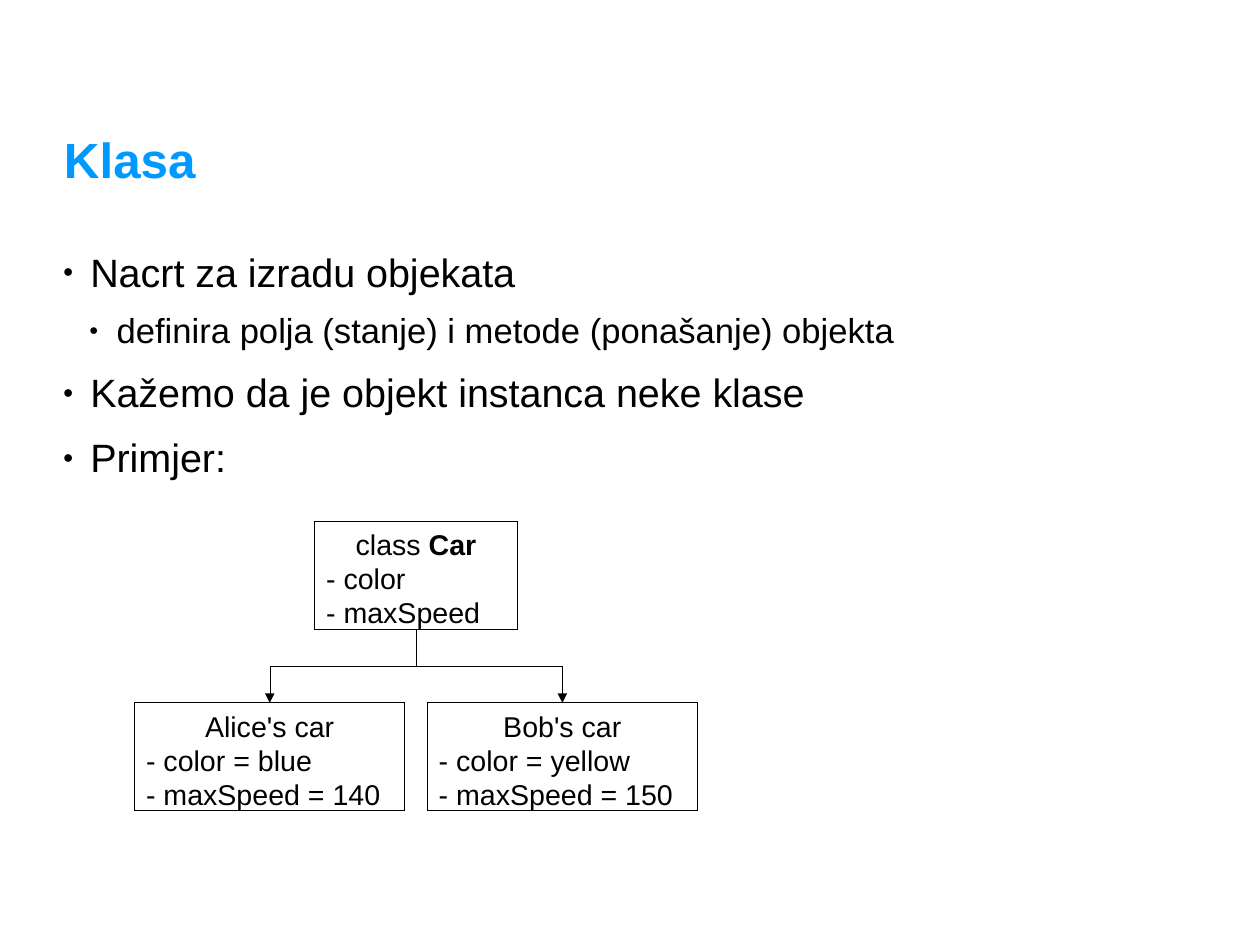
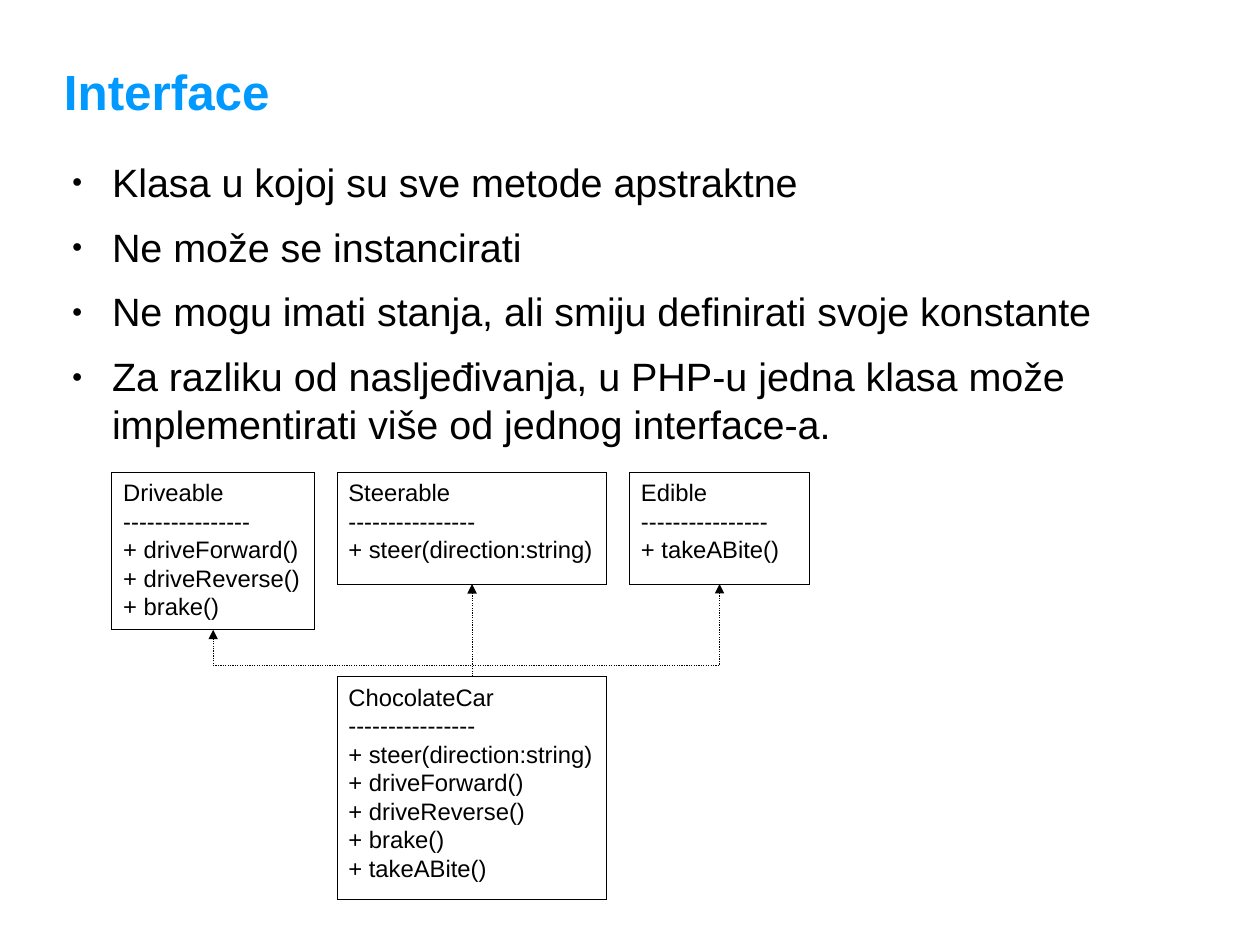
from pptx import Presentation
from pptx import util as u
from pptx.dml.color import RGBColor
from pptx.enum import dml, shapes, text
from pptx.oxml.ns import qn
from lxml import etree


def rgb(value):
    return RGBColor.from_string(value)


def add_xml(parent, tag, **attrs):
    return etree.SubElement(parent, qn(tag), attrs)


class Deck:
    """Shared style and the slide being filled."""
    FONT, INK, ACCENT = "Arial", "000000", "0099FF"
    TITLE_SIZE = 31.1
    LEVELS = ((24.9, 11), (21.8, 8.8))  # size, space before

    def __init__(self):
        # 28 by 21 centimetres
        self.prs = Presentation()
        self.prs.slide_width = u.Inches(28 / 2.54)
        self.prs.slide_height = u.Inches(21 / 2.54)
        self.s = None

    def run(self, p, words, size, color=INK, bold=False):
        r = p.add_run()
        r.text = words
        f = r.font
        f.name, f.size, f.bold = self.FONT, u.Pt(size), bold
        f.color.rgb = rgb(color)

    def frame(self, sp, x_inset=0, y_inset=0, anchor=text.MSO_ANCHOR.TOP):
        tf = sp.text_frame
        tf.word_wrap = True
        tf.auto_size = text.MSO_AUTO_SIZE.NONE
        tf.margin_left = tf.margin_right = u.Inches(x_inset)
        tf.margin_top = tf.margin_bottom = u.Inches(y_inset)
        tf.vertical_anchor = anchor
        return tf

    @staticmethod
    def paragraphs(tf, items):
        for i, item in enumerate(items):
            yield i, (tf.add_paragraph() if i else tf.paragraphs[0]), item

    def hairline(self, sp):
        """Thinnest line: the zero width has to be written out."""
        sp.line.color.rgb = rgb(self.INK)
        ln = sp._element.spPr.find(qn("a:ln"))
        ln.set("w", "0")
        return ln

    def slide(self, title, top):
        self.s = self.prs.slides.add_slide(self.prs.slide_layouts[5])
        sp = self.s.shapes.title
        sp.left, sp.top = u.Inches(0.56), u.Inches(top)
        sp.width, sp.height = u.Inches(7.9), u.Inches(0.77)
        p = self.frame(sp, anchor=text.MSO_ANCHOR.MIDDLE).paragraphs[0]
        p.alignment = text.PP_ALIGN.LEFT
        self.run(p, title, self.TITLE_SIZE, self.ACCENT, True)

    def bullets(self, x, y, w, h, items, indents, hang):
        """Items are (level, words); indents holds the left margin per level."""
        sp = self.s.shapes.add_textbox(*map(u.Inches, (x, y, w, h)))
        for i, p, (level, words) in self.paragraphs(self.frame(sp), items):
            size, before = self.LEVELS[level]
            p.level = level
            p.space_before = u.Pt(before if i else 0)
            pPr = p._p.get_or_add_pPr()
            pPr.set("marL", str(u.Inches(indents[level])))
            pPr.set("indent", str(-u.Inches(hang)))
            add_xml(add_xml(pPr, "a:buClr"), "a:srgbClr", val=self.INK)
            add_xml(pPr, "a:buSzPct", val="45000")
            add_xml(pPr, "a:buFont", typeface=self.FONT)
            add_xml(pPr, "a:buChar", char="●")
            self.run(p, words, size)

    def box(self, x, y, w, h, heading, lines, size, centred=False):
        """Class box; heading is a list of (words, bold) runs."""
        sp = self.s.shapes.add_shape(shapes.MSO_SHAPE.RECTANGLE, *map(u.Inches, (x, y, w, h)))
        sp.shadow.inherit = False
        sp.fill.background()
        self.hairline(sp)
        rows = [heading] + [[(line, False)] for line in lines]
        for i, p, row in self.paragraphs(self.frame(sp, 0.1, 0.05), rows):
            p.alignment = text.PP_ALIGN.CENTER if centred and i == 0 else text.PP_ALIGN.LEFT
            for words, bold in row:
                self.run(p, words, size, bold=bold)
        return sp

    def style_arrow(self, c, dotted):
        ln = self.hairline(c)
        if dotted:
            c.line.dash_style = dml.MSO_LINE.ROUND_DOT
        add_xml(ln, "a:tailEnd", type="triangle")
        add_xml(c._element.spPr, "a:effectLst")

    def straight_arrow(self, start, start_site, end, end_site, dotted=False):
        c = self.s.shapes.add_connector(shapes.MSO_CONNECTOR.STRAIGHT, 0, 0, 0, 0)
        c.begin_connect(start, start_site)
        c.end_connect(end, end_site)
        self.style_arrow(c, dotted)

    def bent_arrow(self, x1, y1, x2, y2, bend_y, dotted=False):
        """Vertical, horizontal, vertical: an elbow turned by a quarter."""
        w, h = abs(y2 - y1), abs(x2 - x1)
        left, top = (x1 + x2 - w) / 2, (y1 + y2 - h) / 2
        c = self.s.shapes.add_connector(
            shapes.MSO_CONNECTOR.ELBOW, *map(u.Inches, (left, top, left + w, top + h)))
        right, up = x2 > x1, y2 < y1
        spPr = c._element.spPr
        xfrm = spPr.find(qn("a:xfrm"))
        xfrm.set("rot", str((90 if right == up else 270) * 60000))
        xfrm.set("flipH", str(int(right)))
        xfrm.set("flipV", str(int(up)))
        bend = round((bend_y - y1) / (y2 - y1) * 100000)
        guides = spPr.find(qn("a:prstGeom")).find(qn("a:avLst"))
        add_xml(guides, "a:gd", name="adj1", fmla=f"val {bend}")
        self.style_arrow(c, dotted)


GAP = 0.2


def class_slide(d):
    d.slide("Klasa", 1)
    d.bullets(0.55, 2.17, 9.92, 5.37, [
        (0, "Nacrt za izradu objekata"),
        (1, "definira polja (stanje) i metode (ponašanje) objekta"),
        (0, "Kažemo da je objekt instanca neke klase"),
        (0, "Primjer:"),
    ], (0.24, 0.47), 0.24)

    # Class above its two instances
    left, top, w, h = 1.18, 6.15, 2.36, 0.94
    middle = left + w + GAP / 2
    class_w, class_top, class_h = 1.77, 4.56, 0.95
    d.box(middle - class_w / 2, class_top, class_w, class_h,
          [("class ", False), ("Car", True)], ["- color", "- maxSpeed"], 18, True)
    instances = (("Alice's car", "blue", 140), ("Bob's car", "yellow", 150))
    for i, (name, color, speed) in enumerate(instances):
        x = left + i * (w + GAP)
        d.box(x, top, w, h, [(name, False)],
              [f"- color = {color}", f"- maxSpeed = {speed}"], 18, True)
        d.bent_arrow(middle, class_top + class_h, x + w / 2, top, 5.83)


def interface_slide(d):
    d.slide("Interface", 0.41)
    d.bullets(0.51, 1.38, 9.92, 2.56, [(0, words) for words in (
        "Klasa u kojoj su sve metode apstraktne",
        "Ne može se instancirati",
        "Ne mogu imati stanja, ali smiju definirati svoje konstante",
        "Za razliku od nasljeđivanja, u PHP-u jedna klasa može "
        "implementirati više od jednog interface-a.",
    )], (0.47,), 0.35)

    # Implementing class
    rule = "-" * 16
    drive = ["+ driveForward()", "+ driveReverse()", "+ brake()"]
    steer, bite = ["+ steer(direction:string)"], ["+ takeABite()"]
    car_x, car_y, car_w = 2.95, 5.92, 2.36
    car = d.box(car_x, car_y, car_w, 1.95, [("ChocolateCar", False)],
                [rule] + steer + drive + bite, 15)

    # Interfaces in a row, each reached by a dotted arrow
    x, top = 0.98, 4.13
    for name, w, h, methods in (("Driveable", 1.77, 1.38, drive),
                                ("Steerable", car_w, 0.98, steer),
                                ("Edible", 1.57, 0.98, bite)):
        sp = d.box(x, top, w, h, [(name, False)], [rule] + methods, 15)
        if methods is steer:
            d.straight_arrow(car, 0, sp, 2, dotted=True)
        else:
            d.bent_arrow(car_x + car_w / 2, car_y, x + w / 2, top + h, 5.82, dotted=True)
        x += w + GAP


def main():
    d = Deck()
    class_slide(d)
    interface_slide(d)
    d.prs.save("out.pptx")


if __name__ == "__main__":
    main()
